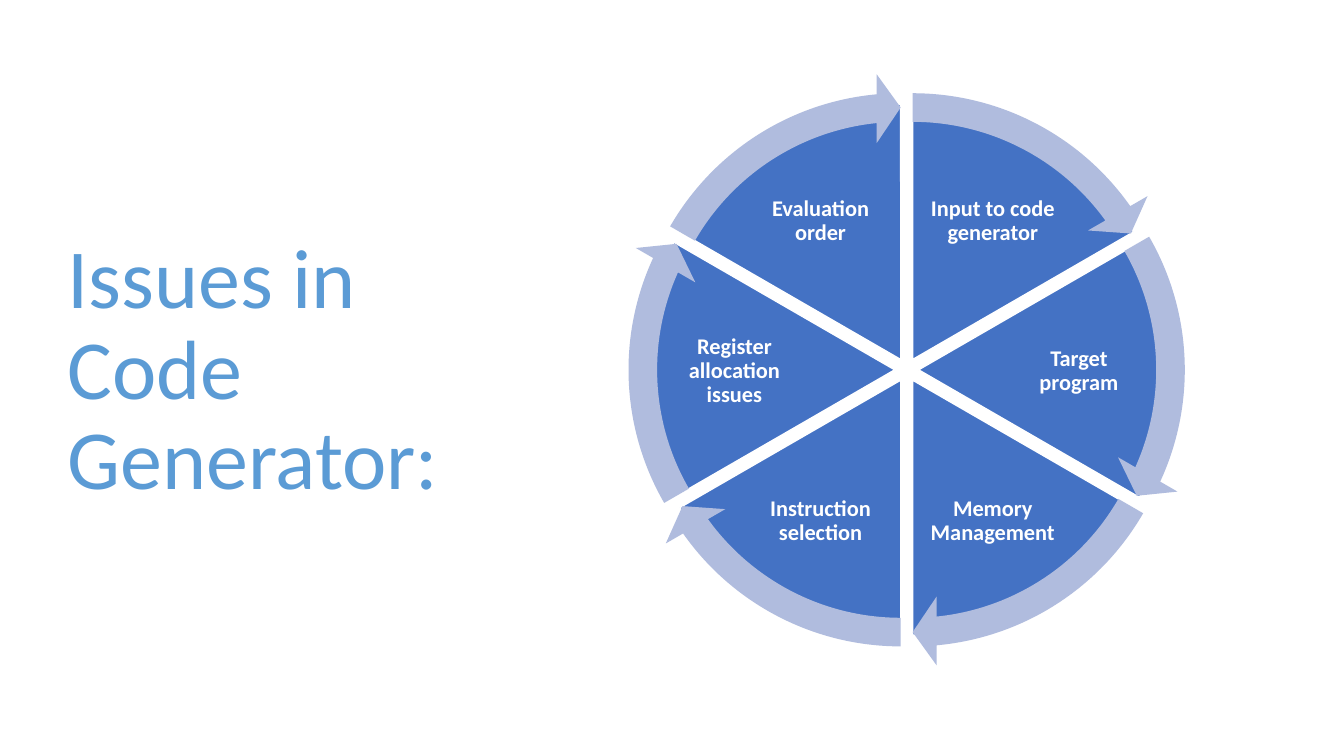
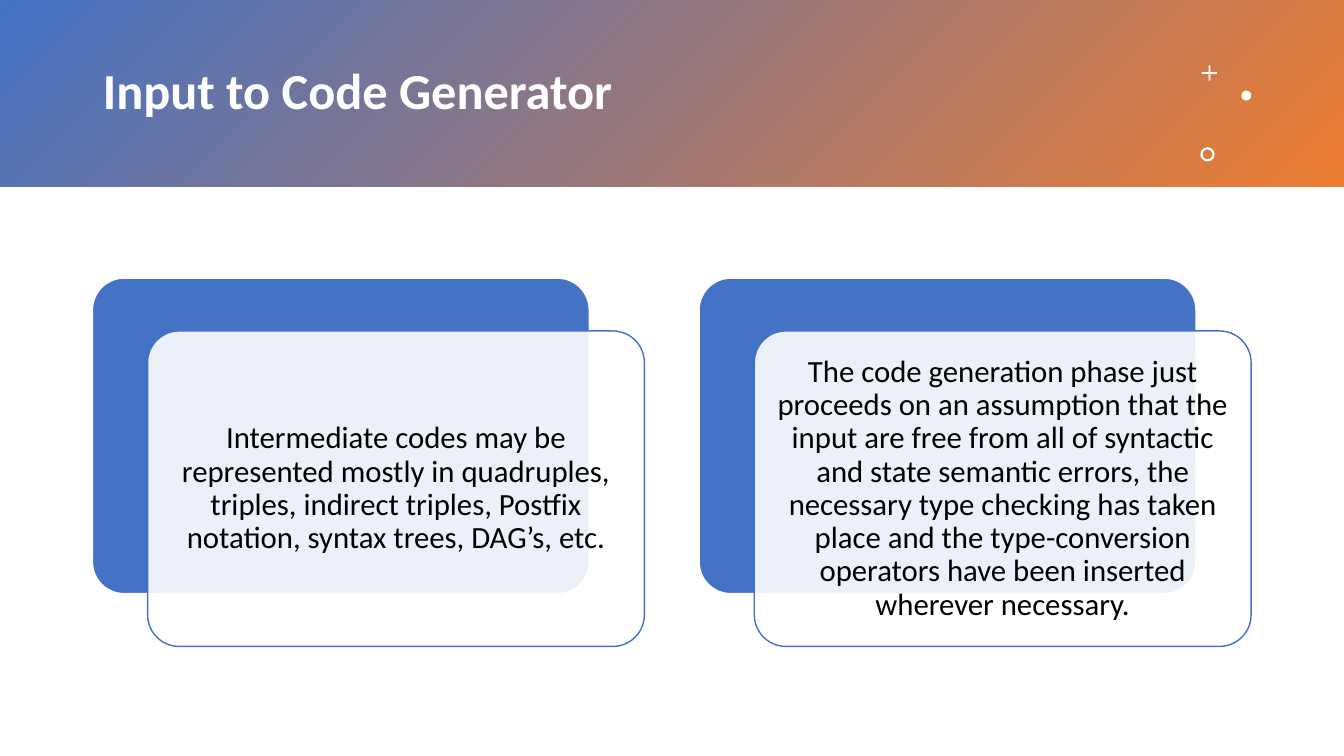
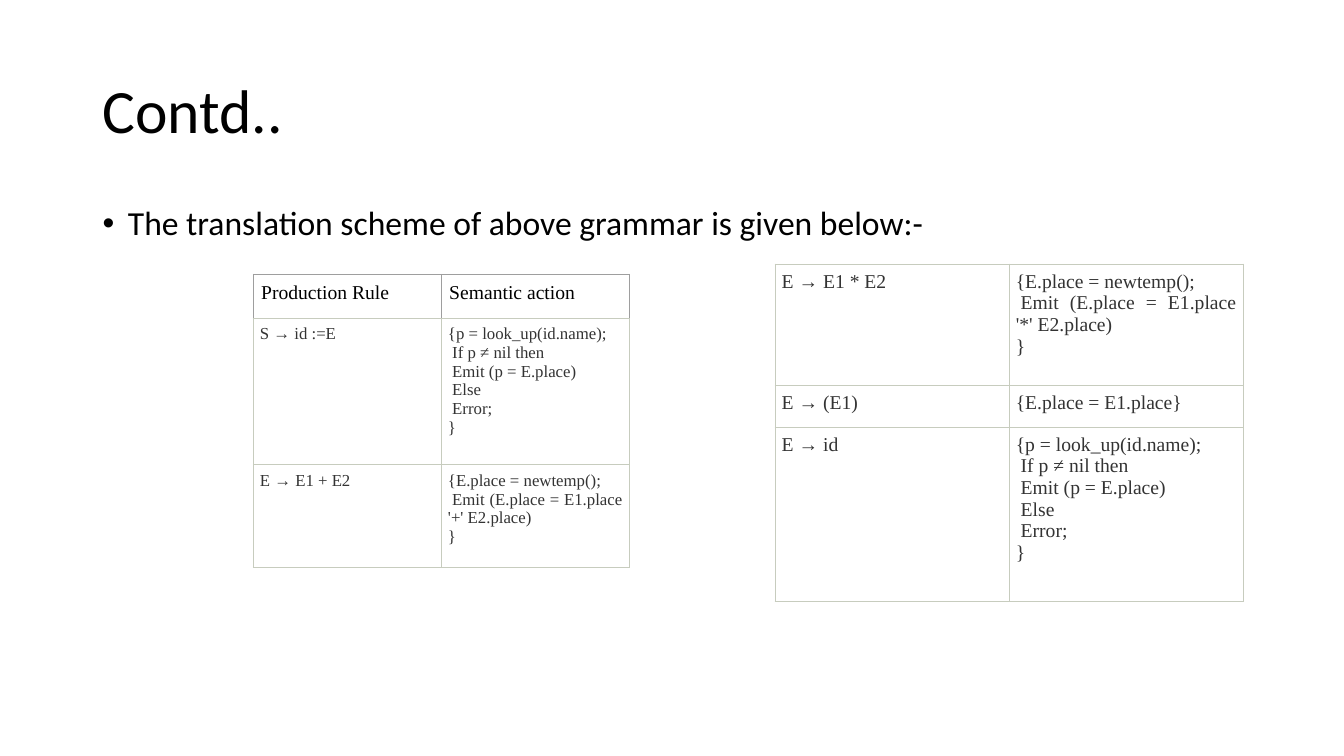
"""Builds three slides about the issues in a code generator."""
import math

from lxml import etree
from pptx import Presentation
from pptx import util as u
from pptx.dml.color import RGBColor
from pptx.enum import shapes, text
from pptx.oxml import ns

Cm, Pt = u.Cm, u.Pt
SHAPE = shapes.MSO_SHAPE
ALIGN = text.PP_ALIGN

WHITE = RGBColor(0xFF, 0xFF, 0xFF)
BLACK = RGBColor(0x00, 0x00, 0x00)
INK = RGBColor(0x33, 0x33, 0x33)
BLUE = RGBColor(0x44, 0x72, 0xC4)
SKY = RGBColor(0x5B, 0x9B, 0xD5)
PALE = RGBColor(0xB0, 0xBC, 0xDE)
ORANGE = RGBColor(0xED, 0x7D, 0x31)
RULE = RGBColor(0xC7, 0xCC, 0xBE)
HEAD_RULE = RGBColor(0x9E, 0x9E, 0x9E)

TITLE_ONLY, TITLE_BODY = 5, 1
FULL_TURN = 216

LOOKUP = ["{p = look_up(id.name);", "If p ≠ nil then", "Emit (p = E.place)",
          "Else", "Error;", "}"]


def emit(operator):
    return ["{E.place = newtemp();",
            f"Emit (E.place = E1.place '{operator}' E2.place)", "}"]


class Deck:
    """Holds the shared style and the slide being built."""

    def __init__(self):
        self.prs = Presentation()
        self.prs.slide_width, self.prs.slide_height = Cm(33.87), Cm(19.05)
        self.s = None

    def slide(self, layout):
        self.s = self.prs.slides.add_slide(self.prs.slide_layouts[layout])

    def style(self, p, size, color, bold=False, align=ALIGN.LEFT,
              font="Calibri", spacing=0.9):
        p.font.name, p.font.size, p.font.bold = font, Pt(size), bold
        p.font.color.rgb = color
        p.alignment, p.line_spacing = align, spacing
        p.space_before = Pt(0)

    def frame(self, sp, words, inset=None, anchor=text.MSO_ANCHOR.MIDDLE,
              **style):
        tf = sp.text_frame
        tf.word_wrap, tf.auto_size = True, text.MSO_AUTO_SIZE.NONE
        tf.vertical_anchor = anchor
        if inset is not None:
            tf.margin_left = tf.margin_right = Cm(inset)
            tf.margin_top = tf.margin_bottom = Cm(inset)
        p = tf.paragraphs[0]
        p.text = words
        self.style(p, **style)
        return p

    def place(self, sp, x, y, w, h):
        sp.left, sp.top, sp.width, sp.height = Cm(x), Cm(y), Cm(w), Cm(h)

    def title(self, words, box, size, color, bold=False):
        sp = self.s.shapes.title
        self.place(sp, *box)
        self.frame(sp, words, size=size, color=color, bold=bold)

    def bullet(self, words, box):
        sp = self.s.placeholders[1]
        self.place(sp, *box)
        p = self.frame(sp, words, anchor=text.MSO_ANCHOR.TOP, size=24,
                       color=BLACK)
        p.space_before = Pt(10)
        pPr = p._p.get_or_add_pPr()
        pPr.set("marL", str(Cm(0.64)))
        pPr.set("indent", str(-Cm(0.64)))

    def shape(self, kind, x, y, w, h, fill=None, line=None, adj=()):
        sp = self.s.shapes.add_shape(kind, Cm(x), Cm(y), Cm(w), Cm(h))
        sp.shadow.inherit = False
        for i, value in enumerate(adj):
            sp.adjustments[i] = value
        if fill is not None:
            sp.fill.solid()
            sp.fill.fore_color.rgb = fill
        if line is None:
            sp.line.fill.background()
        else:
            sp.line.color.rgb, sp.line.width = line, Pt(1)
        return sp

    def disc(self, kind, x, y, size, **look):
        return self.shape(kind, x - size / 2, y - size / 2, size, size, **look)

    def wheel(self, labels, x, y):
        step = FULL_TURN // len(labels)
        sectors = []
        for i, label in enumerate(labels):
            start = (FULL_TURN * 3 // 4 + i * step) % FULL_TURN
            end = (start + step) % FULL_TURN
            middle = math.tau * (start + step / 2) / FULL_TURN
            dx, dy = math.cos(middle), math.sin(middle)
            hub = x + 0.3 * dx, y + 0.3 * dy
            sectors.append((hub, start, end))
            self.disc(SHAPE.PIE, *hub, 12.85, fill=BLUE, line=WHITE,
                      adj=(start, end))
            w, h = 3.36, 2.58
            sp = self.s.shapes.add_textbox(
                Cm(x + 4.34 * dx - w / 2), Cm(y + 0.03 + 4.36 * dy - h / 2),
                Cm(w), Cm(h))
            self.frame(sp, label, 0.05, size=16, color=WHITE, bold=True,
                       align=ALIGN.CENTER)
        for hub, start, end in sectors:
            self.disc(SHAPE.CIRCULAR_ARROW, *hub, 14.43, fill=PALE,
                      adj=(0.05, 3.28, end - 3.28, start, 0.06))

    def band(self, height):
        sp = self.shape(SHAPE.RECTANGLE, 0, 0, 33.87, height)
        sp.fill.gradient()
        sp.fill.gradient_angle = 315
        for stop, color in zip(sp.fill.gradient_stops, (BLUE, ORANGE)):
            stop.color.rgb = color
        self.s.shapes.title._element.addprevious(sp._element)

    def card(self, words, x, y):
        w, h = 12.52, 7.95
        self.shape(SHAPE.ROUNDED_RECTANGLE, x, y, w, h, BLUE, WHITE, (0.1,))
        sp = self.shape(SHAPE.ROUNDED_RECTANGLE, x + 1.39, y + 1.33, w, h,
                        WHITE, BLUE, (0.1,))
        color = sp._element.spPr.find(
            f"{ns.qn('a:solidFill')}/{ns.qn('a:srgbClr')}")
        etree.SubElement(color, ns.qn("a:alpha"), val="90000")
        self.frame(sp, words, 0.23, size=22, color=BLACK, align=ALIGN.CENTER)

    def borders(self, cell, colors):
        tcPr = cell._tc.get_or_add_tcPr()
        for i, (side, color) in enumerate(zip("LRTB", colors)):
            ln = etree.Element(ns.qn(f"a:ln{side}"), w=str(Pt(0.6)))
            fill = etree.SubElement(ln, ns.qn("a:solidFill"))
            etree.SubElement(fill, ns.qn("a:srgbClr"), val=str(color))
            tcPr.insert(i, ln)

    def cell(self, cell, lines, size, header):
        cell.fill.background()
        inset = Cm(0.2 if header else 0.17)
        cell.margin_left = cell.margin_right = inset
        cell.margin_top = cell.margin_bottom = inset
        tf = cell.text_frame
        tf.text = "\n".join(lines)
        for i, p in enumerate(tf.paragraphs):
            self.style(p, 14 if header else size, BLACK if header else INK,
                       align=ALIGN.LEFT if header else ALIGN.JUSTIFY,
                       font="Times New Roman", spacing=1.0)
            if i and lines[i] != "}":
                p._p.get_or_add_pPr().set("indent", str(Pt(size / 4)))
        edge = HEAD_RULE if header else RULE
        self.borders(cell, (edge, edge, edge, RULE))

    def table(self, rows, x, y, column, heights, size, header=False):
        tbl = self.s.shapes.add_table(
            len(rows), 2, Cm(x), Cm(y), Cm(2 * column), Cm(sum(heights))).table
        tbl.first_row = tbl.horz_banding = False
        for col in tbl.columns:
            col.width = Cm(column)
        for r, (row, height) in enumerate(zip(rows, heights)):
            tbl.rows[r].height = Cm(height)
            for c, lines in enumerate(row):
                self.cell(tbl.cell(r, c), lines, size, header and r == 0)


def issues_slide(deck):
    deck.slide(TITLE_ONLY)
    deck.title("Issues in Code Generator:", (1.45, 1.73, 10.57, 15.29), 60, SKY)
    deck.wheel(["Input to code generator", "Target program",
                "Memory Management", "Instruction selection",
                "Register allocation issues", "Evaluation order"], 22.85, 9.32)


def input_slide(deck):
    deck.slide(TITLE_ONLY)
    deck.band(4.7)
    deck.title("Input to Code Generator", (2.34, 0.84, 27.3, 3.02), 36, WHITE,
               bold=True)
    deck.disc(SHAPE.CROSS, 30.48, 1.84, 0.38, fill=WHITE, adj=(0.44,))
    deck.disc(SHAPE.OVAL, 31.41, 2.41, 0.25, fill=WHITE)
    deck.disc(SHAPE.DONUT, 30.43, 3.89, 0.36, fill=WHITE, adj=(0.15,))
    cards = [
        "Intermediate codes may be represented mostly in quadruples, triples, "
        "indirect triples, Postfix notation, syntax trees, DAG’s, etc.",
        "The code generation phase just proceeds on an assumption that the "
        "input are free from all of syntactic and state semantic errors, the "
        "necessary type checking has taken place and the type-conversion "
        "operators have been inserted wherever necessary.",
    ]
    for i, words in enumerate(cards):
        deck.card(words, 2.33 + 15.29 * i, 7.01)


def scheme_slide(deck):
    deck.slide(TITLE_BODY)
    deck.title("Contd..", (2.33, 1.02, 29.2, 3.68), 44, BLACK)
    deck.bullet("The translation scheme of above grammar is given below:-",
                (2.33, 5.08, 29.2, 12.09))
    deck.table([(["Production Rule"], ["Semantic action"]),
                (["S → id :=E"], LOOKUP),
                (["E → E1 + E2"], emit("+"))],
               6.38, 6.91, 4.74, (1.11, 3.69, 2.59), 12, header=True)
    deck.table([(["E → E1 * E2"], emit("*")),
                (["E → (E1)"], ["{E.place = E1.place}"]),
                (["E → id"], LOOKUP)],
               19.53, 6.65, 5.9, (3.05, 1.06, 4.39), 14)


def main():
    deck = Deck()
    issues_slide(deck)
    input_slide(deck)
    scheme_slide(deck)
    deck.prs.save("out.pptx")


if __name__ == "__main__":
    main()
